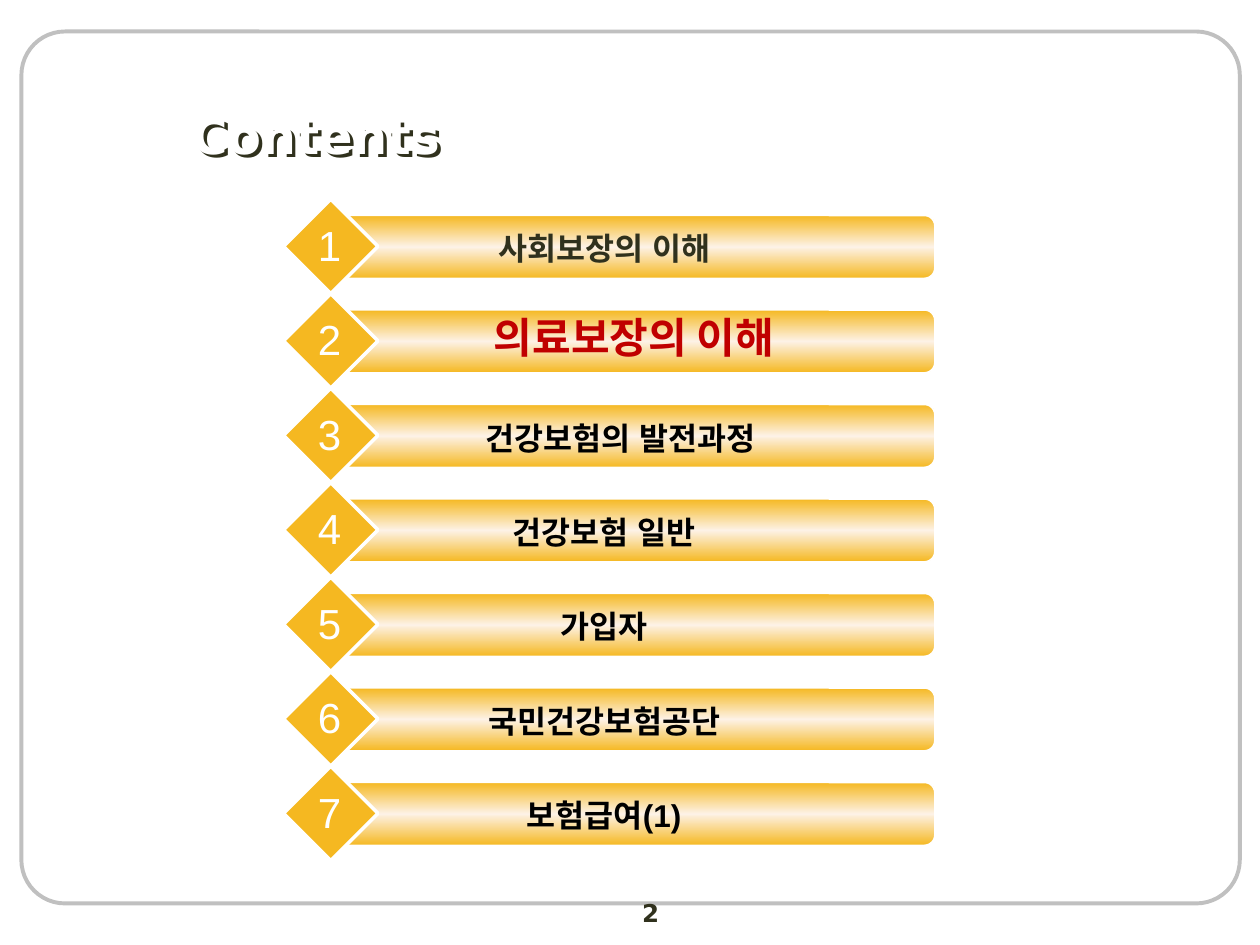
"""Build a contents slide with seven numbered chapter bars."""
from copy import deepcopy

from lxml import etree
from pptx import Presentation
from pptx import util as u
from pptx.dml.color import RGBColor
from pptx.enum import shapes, text
from pptx.oxml.ns import qn

AMBER = RGBColor(0xF5, 0xB8, 0x21)
CREAM = RGBColor(0xFD, 0xF2, 0xE6)
WHITE = RGBColor(0xFF, 0xFF, 0xFF)
BLACK = RGBColor(0x00, 0x00, 0x00)
OLIVE = RGBColor(0x30, 0x31, 0x1D)
RED = RGBColor(0xC0, 0x00, 0x00)
SILVER = RGBColor(0xC0, 0xC0, 0xC0)

FIRST_TOP = 1.58
PITCH = 0.75
LABEL_BOX = (2.92, 0.19, 3.75, 0.4)
CHAPTERS = [
    ("사회보장의 이해", LABEL_BOX, 18, "Arial", OLIVE),
    ("의료보장의 이해", (3.67, 0.09, 2.72, 0.5), 24, "Noto Sans CJK KR", RED),
    ("건강보험의 발전과정", (3.05, 0.2, 3.75, 0.4), 18, "Arial", BLACK),
    ("건강보험 일반", LABEL_BOX, 18, "Arial", BLACK),
    ("가입자", LABEL_BOX, 18, "Arial", BLACK),
    ("국민건강보험공단", LABEL_BOX, 18, "Arial", BLACK),
    ("보험급여(1)", LABEL_BOX, 18, "Arial", BLACK),
]


def add_run(p, words, size, font, color, bold=False):
    """Add one formatted run to a paragraph."""
    r = p.add_run()
    r.text = words
    r.font.size, r.font.name, r.font.bold = u.Pt(size), font, bold
    r.font.color.rgb = color
    for tag in ("a:ea", "a:cs"):
        etree.SubElement(r.font._element, qn(tag)).set("typeface", font)


def add_label(s, box, words, size, font, color, bold=False, wrap=True):
    """Add a centred one-line text box."""
    tf = s.shapes.add_textbox(*map(u.Inches, box)).text_frame
    tf.word_wrap = wrap
    p = tf.paragraphs[0]
    p.alignment = text.PP_ALIGN.CENTER
    add_run(p, words, size, font, color, bold)


def add_outline(s, kind, box, color, width):
    """Add an unfilled preset shape with a plain outline."""
    sp = s.shapes.add_shape(kind, *map(u.Inches, box))
    sp.shadow.inherit = False
    sp.fill.background()
    sp.line.color.rgb = color
    sp.line.width = u.Pt(width)
    return sp


def fill_gradient(sp):
    """Fill a shape with a vertical amber, cream, amber gradient."""
    sp.fill.gradient()
    sp.fill.gradient_angle = 90
    stops = sp._element.spPr.find(qn("a:gradFill")).find(qn("a:gsLst"))
    stops.append(deepcopy(stops[-1]))
    for stop, position, color in zip(
            sp.fill.gradient_stops, (0, 0.5, 1), (AMBER, CREAM, AMBER)):
        stop.position = position
        stop.color.rgb = color


def add_title(s, words):
    """Place the title placeholder and give its text a dark shadow."""
    sp = s.shapes.title
    sp.left, sp.top, sp.width, sp.height = map(u.Inches, (1.42, 0.78, 8, 0.58))
    tf = sp.text_frame
    tf.auto_size = text.MSO_AUTO_SIZE.NONE
    tf.vertical_anchor = text.MSO_ANCHOR.MIDDLE
    p = tf.paragraphs[0]
    p.alignment = text.PP_ALIGN.LEFT
    add_run(p, words, 28, "DejaVu Sans", WHITE, True)
    effects = etree.SubElement(sp._element.spPr, qn("a:effectLst"))
    shadow = etree.SubElement(effects, qn("a:outerShdw"), dist=str(u.Pt(2.83)),
                              dir="2700000", algn="ctr", rotWithShape="0")
    etree.SubElement(shadow, qn("a:srgbClr"), val=str(OLIVE))


def add_chapter(s, number, words, box, size, font, color):
    """Add one chapter row: bar, diamond, number and label."""
    top = FIRST_TOP + (number - 1) * PITCH
    bar = add_outline(s, shapes.MSO_SHAPE.ROUNDED_RECTANGLE,
                      (2.67, top + 0.13, 4.75, 0.5), WHITE, 1)
    fill_gradient(bar)
    diamond = add_outline(s, shapes.MSO_SHAPE.DIAMOND,
                          (2.25, top, 0.75, 0.75), WHITE, 2)
    diamond.fill.solid()
    diamond.fill.fore_color.rgb = AMBER
    left, drop, width, height = box
    add_label(s, (left, top + drop, width, height), words, size, font, color, True)
    add_label(s, (2.42, top + 0.11, 0.39, 0.5), str(number), 24, "Arial", WHITE,
              wrap=False)


def main():
    """Build and save the slide."""
    prs = Presentation()
    prs.slide_width, prs.slide_height = u.Inches(10), u.Inches(7.5)
    s = prs.slides.add_slide(prs.slide_layouts[5])
    frame = add_outline(s, shapes.MSO_SHAPE.ROUNDED_RECTANGLE,
                        (0.17, 0.25, 9.67, 6.92), SILVER, 2.25)
    frame.adjustments[0] = 0.05
    add_label(s, (4, 7.08, 2.33, 0.27), "2", 14, "DejaVu Sans", OLIVE, True)
    add_title(s, "Contents")
    for number, chapter in enumerate(CHAPTERS, 1):
        add_chapter(s, number, *chapter)
    prs.save("out.pptx")


if __name__ == "__main__":
    main()
